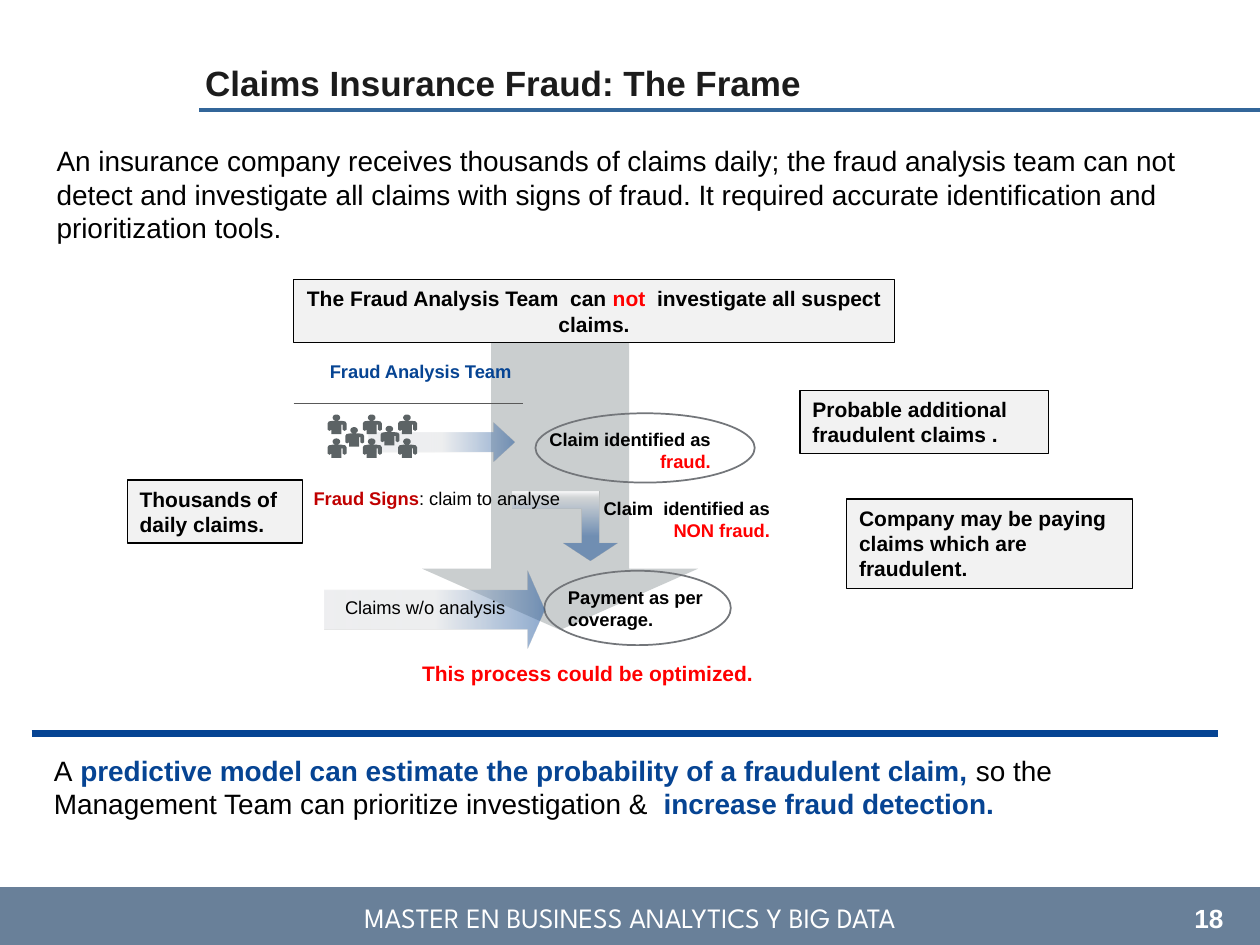
from dataclasses import dataclass
from math import cos, pi, sin

from lxml.etree import SubElement
from pptx import Presentation
from pptx.dml.color import RGBColor
from pptx.enum.shapes import MSO_CONNECTOR, MSO_SHAPE
from pptx.enum.text import MSO_ANCHOR, PP_ALIGN
from pptx.oxml import parse_xml
from pptx.oxml.ns import nsdecls, qn
from pptx.util import Inches, Pt

BLACK = RGBColor(0x00, 0x00, 0x00)
WHITE = RGBColor(0xFF, 0xFF, 0xFF)
INK = RGBColor(0x1C, 0x1C, 0x1C)
RED = RGBColor(0xFF, 0x00, 0x00)
DARK_RED = RGBColor(0xC0, 0x00, 0x00)
NAVY = RGBColor(0x06, 0x44, 0x93)
RULE_BLUE = RGBColor(0x33, 0x66, 0x99)
SLATE = RGBColor(0x69, 0x80, 0x99)
NOTE_GRAY = RGBColor(0xF2, 0xF2, 0xF2)
ARROW_GRAY = RGBColor(0xCA, 0xCE, 0xCF)
OUTLINE_GRAY = RGBColor(0x73, 0x76, 0x7A)
LINE_GRAY = RGBColor(0x59, 0x59, 0x59)
PERSON_GRAY = RGBColor(0x5C, 0x63, 0x65)
MIST = RGBColor(0xDF, 0xE0, 0xE3)
SILVER = RGBColor(0xD9, 0xDB, 0xDE)

PERSON_BODY = [
    (0, 0.07), (0.01, 0.055), (0.04, 0.05), (0.11, 0.05), (0.14, 0.055),
    (0.15, 0.07), (0.15, 0.12), (0.135, 0.13), (0.12, 0.12), (0.12, 0.08),
    (0.11, 0.08), (0.11, 0.155), (0.03, 0.155), (0.03, 0.12), (0.015, 0.13),
    (0, 0.12),
]


@dataclass
class Box:
    """A rectangle in inches."""
    left: float
    top: float
    width: float
    height: float

    def inner(self, left, top, width, height):
        """Return a box offset from this one."""
        return Box(self.left + left, self.top + top, width, height)

    def lengths(self):
        """Return the four values as lengths."""
        return [Inches(value) for value in (self.left, self.top, self.width, self.height)]


def add_run(paragraph, text, size=12, color=BLACK, bold=False, font="Arial"):
    """Append formatted text to a paragraph."""
    run = paragraph.add_run()
    run.text = text
    run.font.size = Pt(size)
    run.font.name = font
    run.font.bold = bold
    run.font.color.rgb = color


def write(shape, *runs, align=PP_ALIGN.LEFT, anchor=MSO_ANCHOR.TOP, spacing=None, **style):
    """Fill a shape with one paragraph of (text, format) runs."""
    frame = shape.text_frame
    frame.word_wrap = True
    frame.vertical_anchor = anchor
    paragraph = frame.paragraphs[0]
    paragraph.alignment = align
    paragraph.line_spacing = spacing
    for text, changes in runs:
        add_run(paragraph, text, **{**style, **changes})


def add_label(slide, box, *runs, **style):
    """Add a text box."""
    write(slide.shapes.add_textbox(*box.lengths()), *runs, **style)


def finish(shape, fill=None, line=None, width=0.75):
    """Set the fill and outline of a shape and remove its shadow."""
    shape.shadow.inherit = False
    if fill is None:
        shape.fill.background()
    else:
        shape.fill.solid()
        shape.fill.fore_color.rgb = fill
    if line is None:
        shape.line.fill.background()
    else:
        shape.line.color.rgb = line
        shape.line.width = Pt(width)
    return shape


def add_preset(slide, kind, box, adjustments=(), **look):
    """Add a preset shape."""
    shape = slide.shapes.add_shape(kind, *box.lengths())
    for index, value in enumerate(adjustments):
        shape.adjustments[index] = value
    return finish(shape, **look)


def add_rule(slide, left, top, length, color, width):
    """Add a horizontal line."""
    rule = slide.shapes.add_connector(
        MSO_CONNECTOR.STRAIGHT, Inches(left), Inches(top), Inches(left + length), Inches(top))
    rule.line.color.rgb = color
    rule.line.width = Pt(width)
    SubElement(rule._element.spPr, qn("a:effectLst"))


def set_gradient(shape, stops):
    """Fill a shape downward with (position, colour, opacity) stops in percent."""
    marks = "".join(
        f'<a:gs pos="{position * 1000}"><a:srgbClr val="{color}">'
        f'<a:alpha val="{opacity * 1000}"/></a:srgbClr></a:gs>'
        for position, color, opacity in stops)
    gradient = parse_xml(
        f'<a:gradFill rotWithShape="1" {nsdecls("a")}><a:gsLst>{marks}</a:gsLst>'
        '<a:lin ang="5400000" scaled="0"/></a:gradFill>')
    properties = shape._element.spPr
    properties.replace(properties.find(qn("a:noFill")), gradient)


def add_person(slide, left, top):
    """Draw a person with a round head."""
    head = [(0.07 + 0.03 * cos(step * pi / 8), 0.025 + 0.025 * sin(step * pi / 8))
            for step in range(16)]
    contours = [[(Inches(left + x), Inches(top + y)) for x, y in outline]
                for outline in (head, PERSON_BODY)]
    builder = slide.shapes.build_freeform(*contours[0][0])
    builder.add_line_segments(contours[0][1:])
    builder.move_to(*contours[1][0])
    builder.add_line_segments(contours[1][1:])
    finish(builder.convert_to_shape(), fill=PERSON_GRAY)


def add_header(slide, box):
    """Place the title over its rule."""
    add_rule(slide, box.left + 0.05, box.top + box.height, box.width - 0.05, RULE_BLUE, 2.25)
    add_label(slide, box, ("Claims Insurance Fraud: The Frame", {}), size=20, color=INK,
              bold=True, anchor=MSO_ANCHOR.BOTTOM, spacing=1.5)


def add_footer(slide, box):
    """Place the footer band with the course name and page number."""
    add_preset(slide, MSO_SHAPE.RECTANGLE, box, fill=SLATE)
    add_label(slide, box.inner(0, 0.06, box.width, 0.37),
              ("MASTER EN BUSINESS ANALYTICS Y BIG DATA", {}),
              size=16, color=WHITE, font="League Spartan", align=PP_ALIGN.CENTER)
    add_label(slide, box.inner(9.24, 0.06, 0.71, 0.37), ("18", {}), size=15, color=WHITE,
              bold=True, align=PP_ALIGN.CENTER, anchor=MSO_ANCHOR.MIDDLE)


def add_conclusion(slide, box):
    """Place the closing statement under its rule."""
    strong = {"color": NAVY, "bold": True}
    add_rule(slide, box.left, box.top, box.width, NAVY, 3.75)
    add_label(slide, box.inner(0.08, 0.11, 9.33, 0.64), ("A", {}),
              (" predictive model can estimate the probability of a fraudulent claim,", strong),
              (" so the Management Team can prioritize investigation &  ", {}),
              ("increase fraud detection.", strong), size=16)


def add_notes(slide, box):
    """Place the framed remarks around the claims flow."""
    remarks = [
        ((0, 1.59, 1.39, 0.5), PP_ALIGN.LEFT, [("Thousands of  daily claims.", {})]),
        ((1.32, 0, 4.77, 0.5), PP_ALIGN.CENTER,
         [("The Fraud Analysis Team  can ", {}), ("not", {"color": RED}),
          ("  investigate all suspect claims.", {})]),
        ((5.34, 0.88, 1.97, 0.5), PP_ALIGN.LEFT,
         [("Probable additional fraudulent claims .", {})]),
        ((5.71, 1.74, 2.27, 0.71), PP_ALIGN.LEFT,
         [("Company may be paying claims which are fraudulent.", {})]),
    ]
    for place, align, runs in remarks:
        note = add_preset(slide, MSO_SHAPE.RECTANGLE, box.inner(*place),
                          fill=NOTE_GRAY, line=BLACK)
        write(note, *runs, bold=True, align=align)


def add_flow(slide, box):
    """Place the arrows, outcomes, team and labels of the claims flow."""
    for place in ((3.31, 2.31, 1.48, 0.59), (3.24, 1.06, 1.74, 0.55)):
        add_preset(slide, MSO_SHAPE.OVAL, box.inner(*place), line=OUTLINE_GRAY, width=1)
    bent = add_preset(slide, MSO_SHAPE.BENT_UP_ARROW, box.inner(3.06, 1.68, 0.83, 0.55),
                      (0.25, 0.393, 0.26))
    bent._element.spPr.find(qn("a:xfrm")).set("flipV", "1")
    set_gradient(bent, [(36, NAVY, 45), (90, SILVER, 44), (100, WHITE, 100)])
    for place, head, start in (((2.34, 0.71, 0.31, 1.16), 0.549, 42),
                               ((2.13, 1.75, 0.62, 1.74), 0.222, 0)):
        arrow = add_preset(slide, MSO_SHAPE.DOWN_ARROW, box.inner(*place), (0.5, head))
        arrow.rotation = 270
        set_gradient(arrow, [(start, MIST, 51), (50, SILVER, 44), (100, NAVY, 45)])
    for column, drops in enumerate([(0, 0.19), (0.1,), (0, 0.19), (0.09,), (0, 0.19)]):
        for drop in drops:
            add_person(slide, box.left + 1.59 + 0.14 * column, box.top + 1.07 + drop)
    add_rule(slide, box.left + 1.32, box.top + 0.98, 1.82, LINE_GRAY, 0.75)

    strong, alert = {"bold": True}, {"bold": True, "color": RED}
    left, right = PP_ALIGN.LEFT, PP_ALIGN.RIGHT
    labels = [
        ((3.4, 2.38, 1.46, 0.45), left, [("Payment as per coverage.", strong)]),
        ((1.63, 2.46, 2.16, 0.28), left, [("Claims w/o analysis", {})]),
        ((1.38, 1.6, 2.16, 0.45), left,
         [("Fraud Signs", {"bold": True, "color": DARK_RED}), (": claim to analyse", {})]),
        ((1.51, 0.59, 2.17, 0.28), left,
         [("Fraud Analysis Team", {"bold": True, "color": NAVY})]),
        ((3.24, 1.13, 1.49, 0.45), right, [("Claim identified as ", strong), ("fraud.", alert)]),
        ((3.4, 1.68, 1.8, 0.45), right,
         [("Claim  identified as ", strong), ("NON fraud.", alert)]),
    ]
    for place, align, runs in labels:
        add_label(slide, box.inner(*place), *runs, size=10.5, align=align)


def add_diagram(slide, box):
    """Place the claims flow, its remarks and its verdict."""
    add_preset(slide, MSO_SHAPE.DOWN_ARROW, box.inner(2.34, 0.15, 2.19, 2.63),
               (0.5, 0.222), fill=ARROW_GRAY)
    add_notes(slide, box)
    add_flow(slide, box)
    add_label(slide, box.inner(0.07, 2.97, 7.17, 0.3), ("This process could be optimized.", {}),
              color=RED, bold=True, align=PP_ALIGN.CENTER)


def main():
    """Build and save the slide."""
    presentation = Presentation()
    presentation.slide_width, presentation.slide_height = Inches(10), Inches(7.5)
    slide = presentation.slides.add_slide(presentation.slide_layouts[6])
    add_footer(slide, Box(0, 7.04, 10, 0.5))
    add_header(slide, Box(1.53, -0.21, 8.47, 1.08))
    add_label(slide, Box(0.35, 1.09, 9.65, 0.91), (
        "An insurance company receives thousands of claims daily; the fraud analysis team can not "
        "detect and investigate all claims with signs of fraud. It required accurate "
        "identification and prioritization tools.", {}), size=16)
    add_diagram(slide, Box(1.01, 2.22, 7.98, 2.9))
    add_conclusion(slide, Box(0.25, 5.82, 9.42, 0.75))
    presentation.save("out.pptx")


if __name__ == "__main__":
    main()
